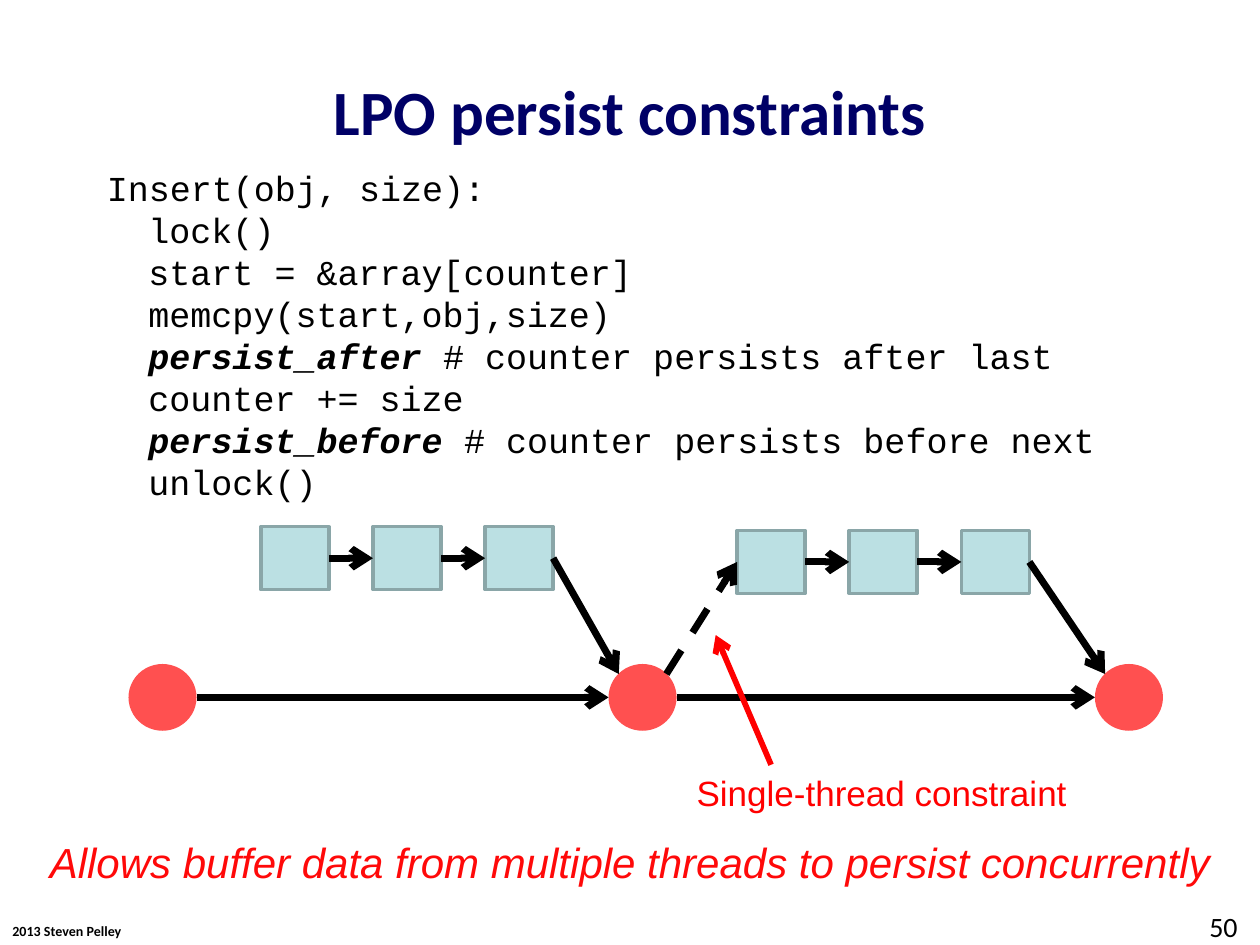
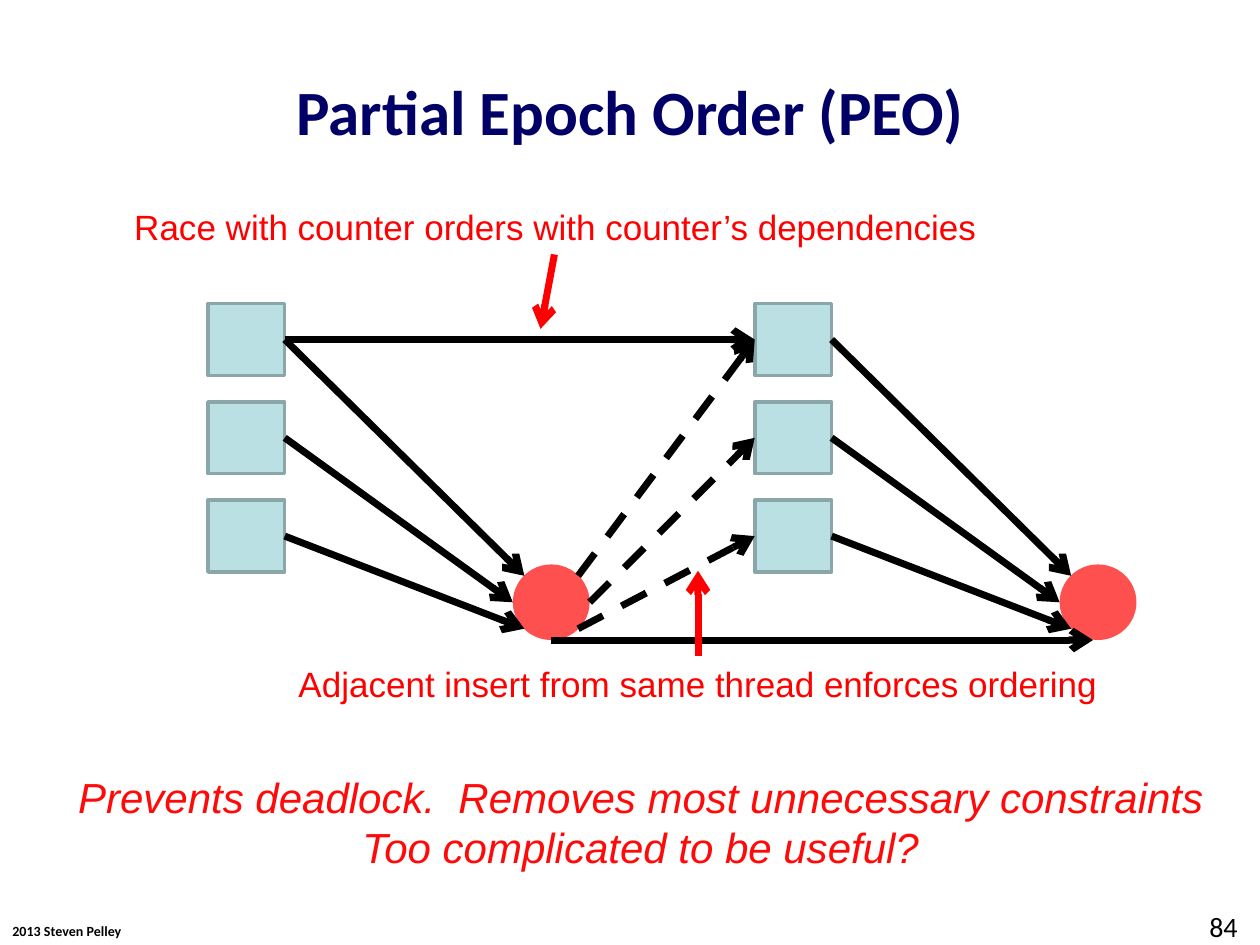
from lxml import etree
from pptx import Presentation
from pptx.dml.color import RGBColor
from pptx.enum import dml, shapes, text
from pptx.oxml.ns import qn
from pptx.util import Inches, Pt

COLORS = {
    "title": "000066",
    "text": "000000",
    "note": "FF0000",
    "takeaway": "FF0909",
    "data": "BBE0E3",
    "data_border": "8AA6A8",
    "counter": "FF5050",
}
PORTS = {
    "left": (0, 0.5),
    "right": (1, 0.5),
    "bottom": (0.5, 1),
    "upper left": (0.15, 0.15),
    "upper right": (0.85, 0.15),
    "lower left": (0.15, 0.85),
    "lower right": (0.85, 0.85),
}
CODE = [
    [("Insert(obj, size):", False)],
    [("lock()", False)],
    [("start = &array[counter]", False)],
    [("memcpy(start,obj,size)", False)],
    [("persist_after ", True), ("# counter persists after last", False)],
    [("counter += size", False)],
    [("persist_before", True), (" # counter persists before next", False)],
    [("unlock()", False)],
]
CODE_INDENT = Inches(0.33)


def color(name):
    return RGBColor.from_string(COLORS[name])


def style_font(font, name, size, color_name, bold=None, italic=None):
    font.name = name
    font.size = Pt(size)
    font.color.rgb = color(color_name)
    font.bold = bold
    font.italic = italic


def add_frame(slide, box, wrap=True):
    frame = slide.shapes.add_textbox(*map(Inches, box)).text_frame
    frame.word_wrap = wrap
    return frame


def add_text(slide, box, lines, name, size, color_name, align="LEFT",
             bold=None, italic=None, wrap=True):
    frame = add_frame(slide, box, wrap)
    frame.text = lines
    for paragraph in frame.paragraphs:
        paragraph.alignment = text.PP_ALIGN[align]
        style_font(paragraph.font, name, size, color_name, bold, italic)
    return frame


def add_note(slide, box, words, align="CENTER"):
    add_text(slide, box, words, "Arial", 20, "note", align, wrap=False)


def add_takeaway(slide, box, lines, wrap):
    add_text(slide, box, lines, "Arial", 24, "takeaway", "CENTER",
             italic=True, wrap=wrap)


def add_code(slide, box, lines):
    frame = add_frame(slide, box)
    for index, pieces in enumerate(lines):
        paragraph = frame.add_paragraph() if index else frame.paragraphs[0]
        style_font(paragraph.font, "Courier New", 20, "text")
        if index:
            paragraph._p.get_or_add_pPr().set("marL", str(CODE_INDENT))
        for words, emphasised in pieces:
            run = paragraph.add_run()
            run.text = words
            if emphasised:
                run.font.bold = run.font.italic = True


def add_node(slide, kind, box, fill):
    shape = slide.shapes.add_shape(kind, *map(Inches, box))
    shape.shadow.inherit = False
    shape.fill.solid()
    shape.fill.fore_color.rgb = color(fill)
    return shape


def add_data(slide, left, top, width, height):
    shape = add_node(slide, shapes.MSO_SHAPE.RECTANGLE,
                     (left, top, width, height), "data")
    shape.line.color.rgb = color("data_border")
    shape.line.width = Pt(2)
    return shape


def add_counter(slide, left, top, width, height):
    shape = add_node(slide, shapes.MSO_SHAPE.OVAL,
                     (left, top, width, height), "counter")
    shape.line.fill.background()
    return shape


def port(shape, name):
    across, down = PORTS[name]
    return (shape.left + round(shape.width * across),
            shape.top + round(shape.height * down))


def point(left, top):
    return Inches(left), Inches(top)


def add_arrow(slide, start, end, color_name="text", width=4, dashed=False):
    connector = slide.shapes.add_connector(
        shapes.MSO_CONNECTOR.STRAIGHT, *start, *end)
    connector.line.color.rgb = color(color_name)
    connector.line.width = Pt(width)
    if dashed:
        connector.line.dash_style = dml.MSO_LINE.DASH
    line = connector.line._get_or_add_ln()
    etree.SubElement(line, qn("a:tailEnd"), type="arrow")
    etree.SubElement(connector._element.spPr, qn("a:effectLst"))


def add_base_slide(presentation, title, number):
    slide = presentation.slides.add_slide(presentation.slide_layouts[6])
    add_text(slide, (0, 7.27, 1.07, 0.24), "2013 Steven Pelley",
             "Calibri", 8, "text", bold=True, wrap=False)
    frame = add_text(slide, (0.5, 0.5, 9, 0.75), title,
                     "Calibri", 36, "title", "CENTER", bold=True)
    frame.vertical_anchor = text.MSO_ANCHOR.MIDDLE
    add_text(slide, (9.5, 7.17, 0.5, 0.33), str(number), "Calibri", 16, "text")
    return slide


def add_data_chain(slide, left, top):
    chain = [add_data(slide, left + 0.89 * step, top, 0.54, 0.5)
             for step in range(3)]
    for before, after in zip(chain, chain[1:]):
        add_arrow(slide, port(before, "right"), port(after, "left"))
    return chain


def add_epoch(slide, left):
    stack = [add_data(slide, left, 2.41 + 0.78 * row, 0.61, 0.57)
             for row in range(3)]
    counter = add_counter(slide, left + 2.42, 4.48, 0.61, 0.6)
    for data, side in zip(stack, ("upper left", "left", "lower left")):
        add_arrow(slide, port(data, "right"), port(counter, side))
    return stack, counter


def add_constraints_slide(presentation):
    slide = add_base_slide(presentation, "LPO persist constraints", 50)
    counters = [add_counter(slide, left, 5.27, 0.54, 0.53)
                for left in (1.02, 4.83, 8.69)]
    for before, after in zip(counters, counters[1:]):
        add_arrow(slide, port(before, "right"), port(after, "left"))

    chains = [add_data_chain(slide, 2.07, 4.18),
              add_data_chain(slide, 5.85, 4.21)]
    for chain, counter in zip(chains, counters[1:]):
        add_arrow(slide, port(chain[-1], "right"), port(counter, "upper left"))
    add_arrow(slide, port(counters[1], "upper right"),
              port(chains[1][0], "left"), dashed=True)

    add_note(slide, (5.43, 6.07, 3.16, 0.44), "Single-thread constraint", "LEFT")
    add_arrow(slide, point(6.12, 6.07), point(5.68, 5.04), "note", 3.25)
    add_takeaway(
        slide, (0.25, 6.59, 9.5, 0.5),
        "Allows buffer data from multiple threads to persist concurrently", False)
    add_code(slide, (0.75, 1.27, 8.86, 2.79), CODE)


def add_epoch_slide(presentation):
    slide = add_base_slide(presentation, "Partial Epoch Order (PEO)", 84)
    first_stack, first_counter = add_epoch(slide, 1.65)
    next_stack, next_counter = add_epoch(slide, 5.99)
    for side, data in zip(("upper right", "right", "lower right"), next_stack):
        add_arrow(slide, port(first_counter, side), port(data, "left"),
                  dashed=True)
    add_arrow(slide, port(first_stack[0], "right"), port(next_stack[0], "left"))
    counter_x, counter_y = port(next_counter, "bottom")
    add_arrow(slide, port(first_counter, "bottom"),
              (counter_x - Inches(0.04), counter_y))

    add_note(slide, (0.94, 1.58, 6.94, 0.44),
             "Race with counter orders with counter’s dependencies")
    add_note(slide, (2.25, 5.21, 6.58, 0.44),
             "Adjacent insert from same thread enforces ordering")
    add_arrow(slide, point(4.4, 2.02), point(4.29, 2.61), "note")
    add_arrow(slide, point(5.54, 5.21), point(5.54, 4.53), "note")
    add_takeaway(
        slide, (0.28, 6.07, 9.61, 0.91),
        "Prevents deadlock.  Removes most unnecessary constraints\n"
        "Too complicated to be useful?", True)


def main():
    presentation = Presentation()
    presentation.slide_width = Inches(10)
    presentation.slide_height = Inches(7.5)
    add_constraints_slide(presentation)
    add_epoch_slide(presentation)
    presentation.save("out.pptx")


if __name__ == "__main__":
    main()
